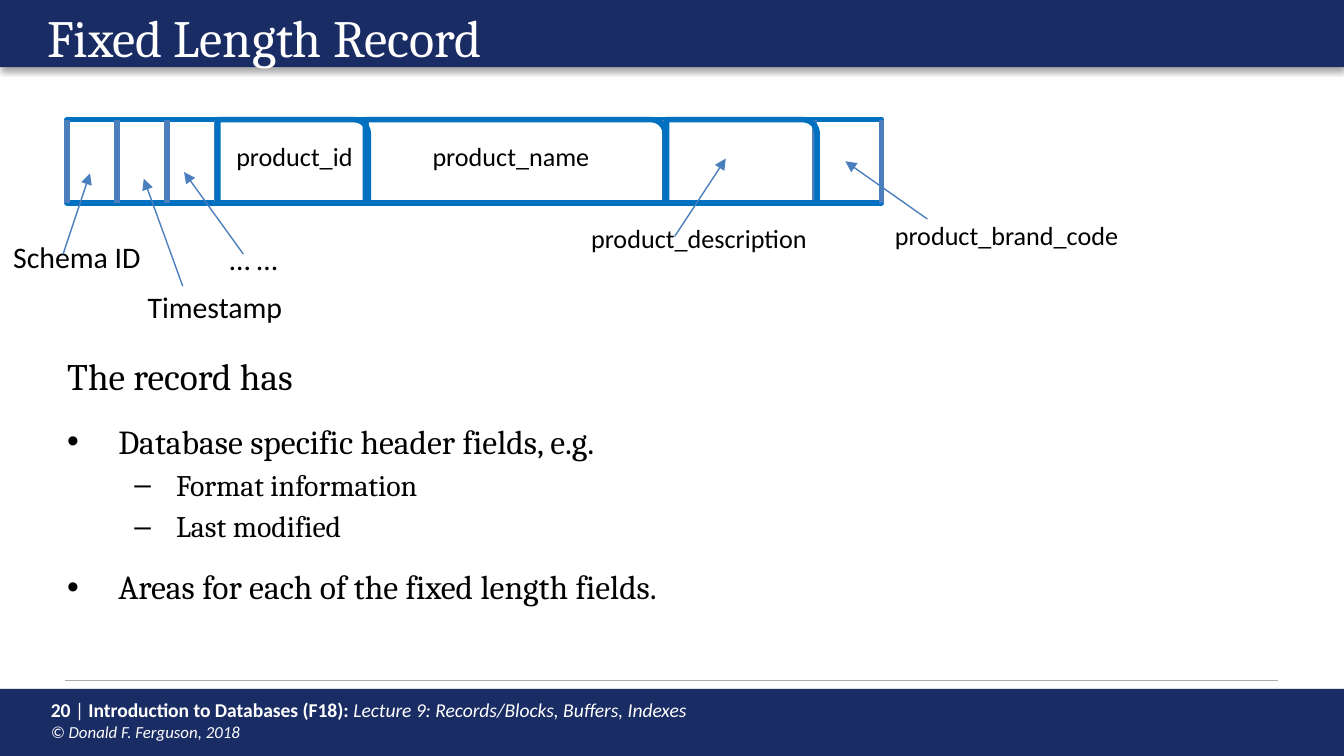
from lxml import etree
from pptx import Presentation
from pptx.dml.color import RGBColor
from pptx.enum import shapes as kinds, text
from pptx.oxml import ns
from pptx.util import Inches, Pt

COLORS = {"navy": "1A2C64", "white": "FFFFFF", "black": "000000",
          "field": "0070C0", "divider": "4B7EBC", "rule": "AAAAAA"}
SLIDE_WIDTH = 10
SLIDE_HEIGHT = SLIDE_WIDTH * 9 / 16


def rgb(name):
    return RGBColor.from_string(COLORS[name])


def apply(target, values):
    for key, value in values.items():
        setattr(target, key, value)


def set_font(font, color, **values):
    apply(font, values)
    font.color.rgb = rgb(color)


def place(shape, box):
    apply(shape, dict(zip(("left", "top", "width", "height"), map(Inches, box))))


def add_line(slide, start, end, color, width, arrow=False):
    line = slide.shapes.add_connector(
        kinds.MSO_CONNECTOR.STRAIGHT, *map(Inches, (*start, *end)))
    line.line.color.rgb = rgb(color)
    line.line.width = Pt(width)
    if arrow:
        etree.SubElement(line.line._get_or_add_ln(), ns.qn("a:tailEnd"), type="triangle")
    etree.SubElement(line._element.spPr, ns.qn("a:effectLst"))


def add_bar(slide, box):
    bar = slide.shapes.add_shape(kinds.MSO_SHAPE.RECTANGLE, *map(Inches, box))
    bar.fill.solid()
    bar.fill.fore_color.rgb = rgb("navy")
    bar.line.fill.background()
    effects = etree.SubElement(bar._element.spPr, ns.qn("a:effectLst"))
    shadow = etree.SubElement(effects, ns.qn("a:outerShdw"), blurRad="40000",
                              dist="23000", dir="5400000", rotWithShape="0")
    tint = etree.SubElement(shadow, ns.qn("a:srgbClr"), val=COLORS["black"])
    etree.SubElement(tint, ns.qn("a:alpha"), val="35000")


def add_outline(slide, preset, box):
    outline = slide.shapes.add_shape(preset, *map(Inches, box))
    outline.shadow.inherit = False
    outline.fill.background()
    outline.line.color.rgb = rgb("field")
    outline.line.width = Pt(3)


def add_label(slide, words, size, box):
    label = slide.shapes.add_textbox(*map(Inches, box))
    apply(label.text_frame, {"word_wrap": False, "auto_size": text.MSO_AUTO_SIZE.NONE})
    paragraph = label.text_frame.paragraphs[0]
    paragraph.text = words
    paragraph.line_spacing = 0.9
    set_font(paragraph.runs[0].font, "black", name="Calibri", size=Pt(size))


def build_header(slide, box):
    left, top, width, height = box
    add_bar(slide, box)
    title = slide.shapes.title
    slide.shapes._spTree.append(title._element)
    place(title, (left + 0.25, top + 0.04, 9.06, 0.42))
    title.text = "Fixed Length Record"
    apply(title.text_frame, {"vertical_anchor": text.MSO_ANCHOR.TOP,
                             "auto_size": text.MSO_AUTO_SIZE.NONE})
    paragraph = title.text_frame.paragraphs[0]
    apply(paragraph, {"alignment": text.PP_ALIGN.LEFT, "line_spacing": 0.9})
    set_font(paragraph.runs[0].font, "white", name="Cambria", size=Pt(28))


def build_footer(slide, box):
    left, top, width, height = box
    add_bar(slide, box)
    add_line(slide, (left + 0.48, top - 0.06), (left + 9.51, top - 0.06), "rule", 0.75)
    credit = slide.shapes.add_textbox(*map(Inches, (left + 0.28, top + 0.02, 7.42, 0.43)))
    credit.text_frame.word_wrap = True
    paragraph = credit.text_frame.paragraphs[0]
    parts = [("20 ", 10.5, True, False),
             ("| ", 10.5, False, False),
             ("Introduction to Databases (F18): ", 10.5, True, False),
             ("Lecture 9: Records/Blocks, Buffers, Indexes", 10.5, False, True),
             ("© Donald F. Ferguson, 2018", 9, False, True)]
    for words, size, bold, italic in parts:
        if words.startswith("©"):
            paragraph.add_line_break()
        run = paragraph.add_run()
        run.text = words
        set_font(run.font, "white", name="Calibri", size=Pt(size), bold=bold, italic=italic)


def build_description(slide, box):
    body = slide.placeholders[1]
    slide.shapes._spTree.append(body._element)
    place(body, box)
    frame = body.text_frame
    apply(frame, {"margin_left": 0, "margin_top": 0, "margin_right": 0, "margin_bottom": 0,
                  "auto_size": text.MSO_AUTO_SIZE.NONE,
                  "vertical_anchor": text.MSO_ANCHOR.TOP})
    styles = {"lead": (0, 20, 12, 0, 0, None),
              "point": (0, 18, 12, 0.38, -0.38, "•"),
              "detail": (1, 16, 3, 0.81, -0.31, "–")}
    items = [("lead", "The record has"),
             ("point", "Database specific header fields, e.g."),
             ("detail", "Format information"),
             ("detail", "Last modified"),
             ("point", "Areas for each of the fixed length fields.")]
    for index, (style, words) in enumerate(items):
        level, size, before, margin, indent, bullet = styles[style]
        paragraph = frame.add_paragraph() if index else frame.paragraphs[0]
        paragraph.text = words
        apply(paragraph, {"level": level, "space_before": Pt(before if index else 0)})
        props = paragraph._p.get_or_add_pPr()
        props.set("marL", str(Inches(margin)))
        props.set("indent", str(Inches(indent)))
        if bullet:
            etree.SubElement(props, ns.qn("a:buChar"), char=bullet)
        else:
            etree.SubElement(props, ns.qn("a:buNone"))
        set_font(paragraph.runs[0].font, "black", name="Cambria", size=Pt(size))


def build_record(slide, box):
    left, top, width, height = box
    unit = (width - 0.5) / 15
    add_outline(slide, kinds.MSO_SHAPE.RECTANGLE, box)
    for x in [left + unit * step for step in (0, 1, 2, 3, 6, 12, 15)] + [left + width]:
        add_line(slide, (x, top), (x, top + height), "divider", 3)
    for x, field_width in ((1.12, 1.12), (2.22, 2.23), (4.46, 1.12)):
        add_outline(slide, kinds.MSO_SHAPE.ROUND_1_RECTANGLE,
                    (left + x, top, field_width, height))

    labels = [("Schema ID", 16, -0.5, 0.87, 1, 1),
              ("Timestamp", 16, 0.5, 1.24, 1, 1),
              ("… …", 16, 1.11, 0.88, 1, 1),
              ("product_id", 14, 1.16, 0.13, 1, 0.25),
              ("product_name", 14, 2.62, 0.13, 1, 0.25),
              ("product_description", 14, 3.8, 0.74, 2.26, 1),
              ("product_brand_code", 14, 6.06, 0.72, 2.26, 1)]
    for words, size, dx, dy, label_width, label_height in labels:
        add_label(slide, words, size, (left + dx, top + dy, label_width, label_height))

    pointers = [(-0.03, 1, 0.17, 0.4), (0.86, 1.24, 0.57, 0.44), (1.31, 1, 0.87, 0.39),
                (4.52, 0.87, 4.9, 0.29), (6.4, 0.74, 5.79, 0.31)]
    for x1, y1, x2, y2 in pointers:
        add_line(slide, (left + x1, top + y1), (left + x2, top + y2), "divider", 0.75, True)


def main():
    deck = Presentation()
    apply(deck, {"slide_width": Inches(SLIDE_WIDTH), "slide_height": Inches(SLIDE_HEIGHT)})
    slide = deck.slides.add_slide(deck.slide_layouts[1])
    build_footer(slide, (0, SLIDE_HEIGHT - 0.5, SLIDE_WIDTH, 0.5))
    build_header(slide, (0, 0, SLIDE_WIDTH, 0.5))
    build_description(slide, (0.5, 2.63, 9.04, 2.3))
    build_record(slide, (0.5, 0.89, 6.06, 0.62))
    deck.save("out.pptx")


if __name__ == "__main__":
    main()
